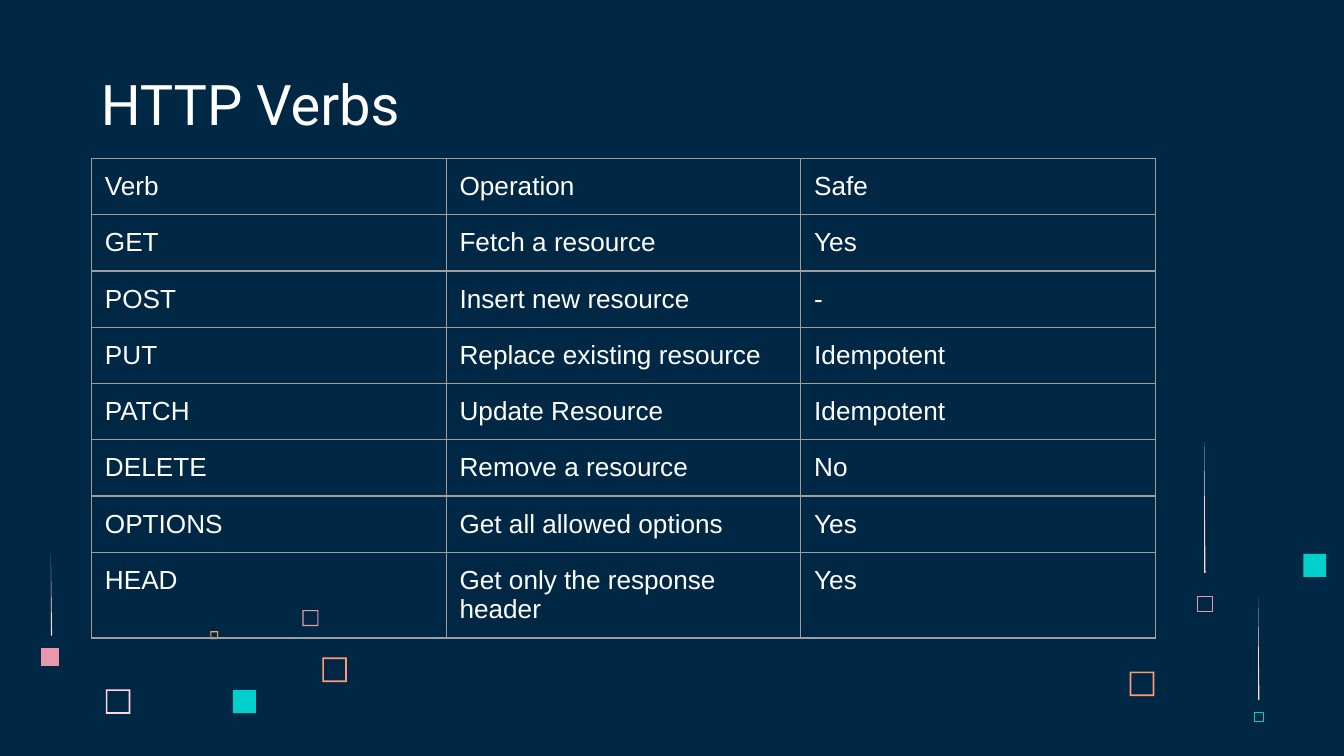
from lxml import etree
from pptx import Presentation
from pptx import util as u
from pptx.dml.color import RGBColor
from pptx.enum import shapes, text
from pptx.oxml import ns

NAVY = RGBColor(0x00, 0x28, 0x45)
WHITE = RGBColor(0xFF, 0xFF, 0xFF)
GREY = RGBColor(0x9E, 0x9E, 0x9E)
BLUSH = RGBColor(0xFF, 0xD6, 0xE1)
PINK = RGBColor(0xE8, 0x98, 0xAC)
ORANGE = RGBColor(0xFF, 0x99, 0x73)
TEAL = RGBColor(0x00, 0xCF, 0xCC)

VERBS = [
    ("Verb", "Operation", "Safe"),
    ("GET", "Fetch a resource", "Yes"),
    ("POST", "Insert new resource", "-"),
    ("PUT", "Replace existing resource", "Idempotent"),
    ("PATCH", "Update Resource", "Idempotent"),
    ("DELETE", "Remove a resource", "No"),
    ("OPTIONS", "Get all allowed options", "Yes"),
    ("HEAD", "Get only the response header", "Yes"),
]

# left, top, size, colour
FRAMES = [
    (56.7, 369.3, 13.2, BLUSH),
    (162, 326.8, 8.6, PINK),
    (112.7, 338.2, 4.2, ORANGE),
    (172.7, 352.2, 13.2, ORANGE),
    (605.2, 359.8, 13.2, ORANGE),
]
SOLIDS = [
    (124.8, 369.8, 12.3, TEAL),
    (22, 347.2, 9.6, PINK),
    (698.2, 296.8, 12.3, TEAL),
]
OUTLINES = [(641.4, 319.4, 8, PINK), (672, 381.5, 4.7, TEAL)]

# left, top, height
STREAKS = [(645.1, 236.7, 70.3), (27.2, 296.6, 43.9), (674, 320.4, 54.7)]


class SlideBuilder:
    """Holds the text style and the current slide; lengths are in points."""

    title_font, title_size = "Roboto", 30
    body_font, body_size = "Arial", 14

    def __init__(self, slide):
        """Start on a slide with a navy background."""
        self.slide = slide
        slide.background.fill.solid()
        slide.background.fill.fore_color.rgb = NAVY

    def style(self, paragraph, font, size):
        """Format all runs of a left-aligned paragraph."""
        paragraph.alignment = text.PP_ALIGN.LEFT
        for run in paragraph.runs:
            run.font.name = font
            run.font.size = u.Pt(size)
            run.font.color.rgb = WHITE

    def title(self, wording, left, top, width, height):
        """Move, fill and format the title placeholder."""
        shape = self.slide.shapes.title
        shape.left, shape.top = u.Pt(left), u.Pt(top)
        shape.width, shape.height = u.Pt(width), u.Pt(height)
        frame = shape.text_frame
        frame.text = wording
        frame.vertical_anchor = text.MSO_ANCHOR.MIDDLE
        frame.auto_size = text.MSO_AUTO_SIZE.NONE
        frame.margin_left = frame.margin_right = u.Pt(5)
        frame.margin_top = frame.margin_bottom = u.Pt(5)
        self.style(frame.paragraphs[0], self.title_font, self.title_size)

    def paint(self, shape, colour):
        """Give a shape a plain fill without line or shadow."""
        shape.shadow.inherit = False
        shape.fill.solid()
        shape.fill.fore_color.rgb = colour
        shape.line.fill.background()

    def square(self, left, top, size, colour, preset=shapes.MSO_SHAPE.RECTANGLE):
        """Add a filled square of the given preset."""
        shape = self.slide.shapes.add_shape(
            preset, u.Pt(left), u.Pt(top), u.Pt(size), u.Pt(size))
        self.paint(shape, colour)
        return shape

    def frame(self, left, top, size, colour):
        """Add a hollow square with a thin rim."""
        shape = self.square(left, top, size, colour, shapes.MSO_SHAPE.FRAME)
        shape.adjustments[0] = 0.07 if size > 5 else 0.14

    def outline(self, left, top, size, colour):
        """Add an unfilled square with a hairline."""
        shape = self.square(left, top, size, colour)
        shape.fill.background()
        shape.line.color.rgb = colour
        shape.line.width = u.Pt(0.23)

    def streak(self, left, top, height, width=0.7):
        """Add a needle that tapers to a point at its top."""
        builder = self.slide.shapes.build_freeform(u.Pt(left), u.Pt(top))
        bottom = u.Pt(top + height)
        builder.add_line_segments(
            [(u.Pt(left), bottom), (u.Pt(left + width), bottom)], close=True)
        self.paint(builder.convert_to_shape(), BLUSH)

    def border(self, cell, colour, width):
        """Draw the four edges of a cell."""
        properties = cell._tc.get_or_add_tcPr()
        for position, edge in enumerate(("lnL", "lnR", "lnT", "lnB")):
            line = etree.Element(ns.qn(f"a:{edge}"), w=str(u.Pt(width)))
            fill = etree.SubElement(line, ns.qn("a:solidFill"))
            etree.SubElement(fill, ns.qn("a:srgbClr"), val=str(colour))
            properties.insert(position, line)

    def table(self, rows, left, top, column_width, row_height):
        """Add an unfilled table with grey grid lines."""
        count = len(rows[0])
        table = self.slide.shapes.add_table(
            len(rows), count, u.Pt(left), u.Pt(top),
            u.Pt(column_width * count), u.Pt(row_height * len(rows))).table
        table.first_row = table.horz_banding = False
        for column in table.columns:
            column.width = u.Pt(column_width)
        for row, wordings in zip(table.rows, rows):
            row.height = u.Pt(row_height)
            for cell, wording in zip(row.cells, wordings):
                cell.text_frame.text = wording
                cell.margin_left = cell.margin_right = u.Pt(7.2)
                cell.margin_top = cell.margin_bottom = u.Pt(7.2)
                cell.fill.background()
                self.border(cell, GREY, 0.75)
                self.style(cell.text_frame.paragraphs[0],
                           self.body_font, self.body_size)


def main():
    """Build the HTTP verbs slide and save it."""
    presentation = Presentation()
    presentation.slide_width, presentation.slide_height = u.Pt(720), u.Pt(405)
    layout = presentation.slide_layouts.get_by_name("Title Only")
    builder = SlideBuilder(presentation.slides.add_slide(layout))
    builder.title("HTTP Verbs", 49, 32.4, 211.7, 45.4)
    for draw, items in (
        (builder.frame, FRAMES),
        (builder.square, SOLIDS),
        (builder.outline, OUTLINES),
        (builder.streak, STREAKS),
    ):
        for item in items:
            draw(*item)
    builder.table(VERBS, 49, 84.8, 190, 30.1)
    presentation.save("out.pptx")


main()
